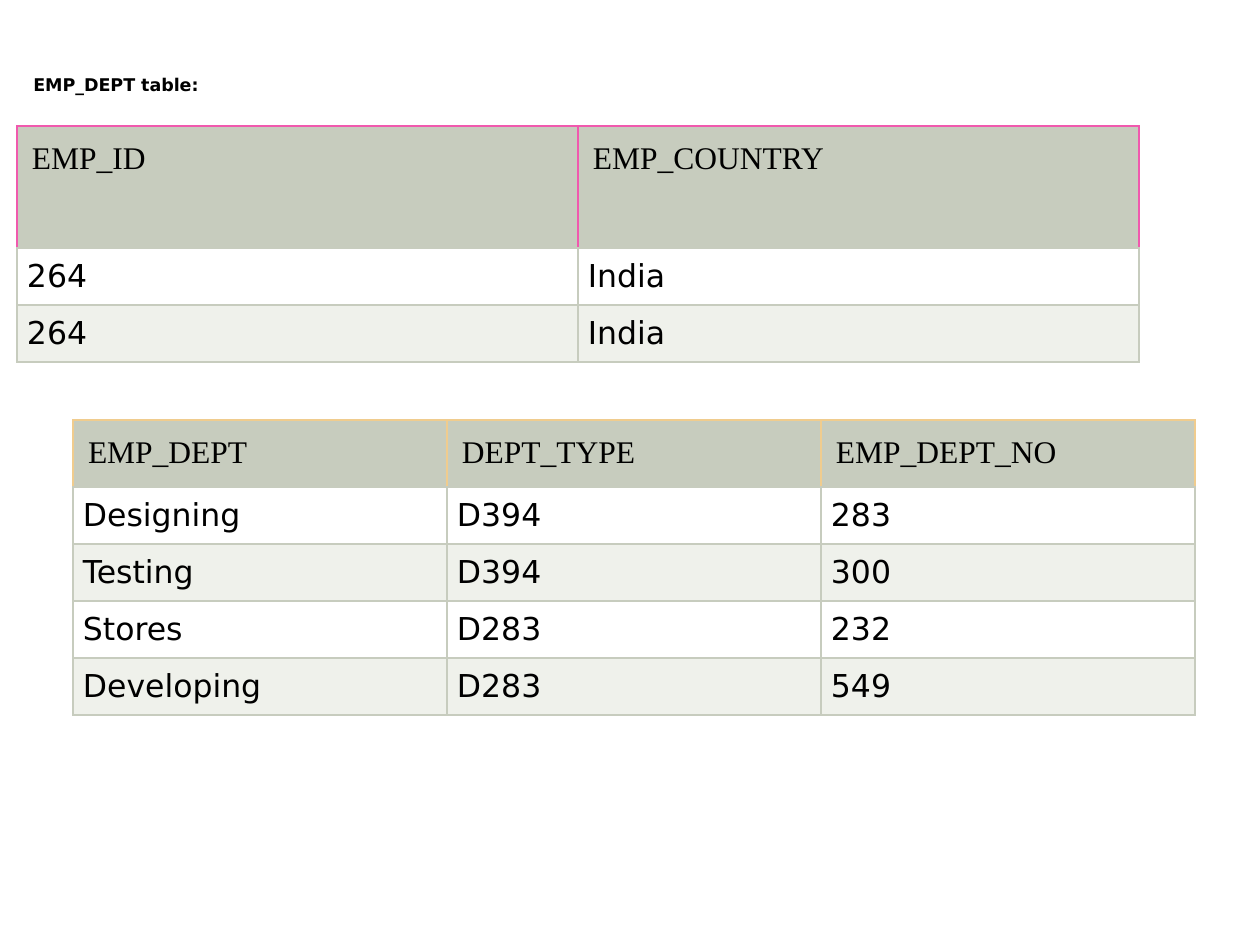
import pptx
import pptx.dml.color
import pptx.enum.text
import pptx.oxml.ns
import pptx.util
from dataclasses import dataclass
from lxml import etree

PX = 914400 / 126


@dataclass(frozen=True)
class Theme:
    ink: str = "000000"
    header: str = "C7CCBE"
    bands: tuple = ("FFFFFF", "EFF1EB")
    grid: str = "C7CCBE"
    pink: str = "F059AE"
    sand: str = "F0CC8E"
    header_font: str = "Times New Roman"
    body_font: str = "DejaVu Sans"
    table_size: int = 18
    caption_size: int = 10
    border: float = 0.75


theme = Theme()


def style_text(frame, font, size, bold=False):
    for para in frame.paragraphs:
        para.alignment = pptx.enum.text.PP_ALIGN.LEFT
        for span in para.runs:
            span.font.name = font
            span.font.size = pptx.util.Pt(size)
            span.font.bold = bold
            span.font.color.rgb = pptx.dml.color.RGBColor.from_string(theme.ink)


def draw_border(cell, side, color):
    name = pptx.oxml.ns.qn
    line = etree.SubElement(cell._tc.get_or_add_tcPr(), name("a:ln" + side),
                            w=str(pptx.util.Pt(theme.border)))
    fill = etree.SubElement(line, name("a:solidFill"))
    etree.SubElement(fill, name("a:srgbClr"), val=color)


deck = pptx.Presentation()
deck.slide_width = pptx.util.Inches(10)
deck.slide_height = pptx.util.Inches(7.5)
page = deck.slides.add_slide(deck.slide_layouts[6])

# Tables: left, top, column width, header height, header border, rows
body_height = 57
tables = [
    (17, 126, 561, 122, theme.pink, [
        ("EMP_ID", "EMP_COUNTRY"),
        ("264", "India"),
        ("264", "India"),
    ]),
    (73, 420, 374, 67, theme.sand, [
        ("EMP_DEPT", "DEPT_TYPE", "EMP_DEPT_NO"),
        ("Designing", "D394", "283"),
        ("Testing", "D394", "300"),
        ("Stores", "D283", "232"),
        ("Developing", "D283", "549"),
    ]),
]
for left, top, column_width, header_height, accent, rows in tables:
    heights = [header_height] + [body_height] * (len(rows) - 1)
    size = (column_width * len(rows[0]), sum(heights))
    table = page.shapes.add_table(
        len(rows), len(rows[0]),
        *(round(value * PX) for value in (left, top, *size))).table
    table.first_row = False
    table.horz_banding = False
    for column in table.columns:
        column.width = round(column_width * PX)

    for row_index, values in enumerate(rows):
        table.rows[row_index].height = round(heights[row_index] * PX)
        is_header = row_index == 0
        edge = accent if is_header else theme.grid
        fill = theme.header if is_header else theme.bands[(row_index - 1) % 2]
        font = theme.header_font if is_header else theme.body_font
        inset = round((15 if is_header else 10) * PX)
        for column_index, value in enumerate(values):
            cell = table.cell(row_index, column_index)
            cell.text_frame.text = value
            style_text(cell.text_frame, font, theme.table_size)
            cell.margin_left = cell.margin_right = inset
            cell.margin_top = cell.margin_bottom = inset
            for side in "LRT":
                draw_border(cell, side, edge)
            draw_border(cell, "B", theme.grid)
            cell.fill.solid()
            cell.fill.fore_color.rgb = pptx.dml.color.RGBColor.from_string(fill)

# Caption
box = page.shapes.add_textbox(*(round(value * PX) for value in (21, 53, 1260, 63)))
frame = box.text_frame
frame.word_wrap = True
frame.vertical_anchor = pptx.enum.text.MSO_ANCHOR.MIDDLE
frame.text = "EMP_DEPT table:"
style_text(frame, theme.body_font, theme.caption_size, bold=True)

deck.save("out.pptx")
